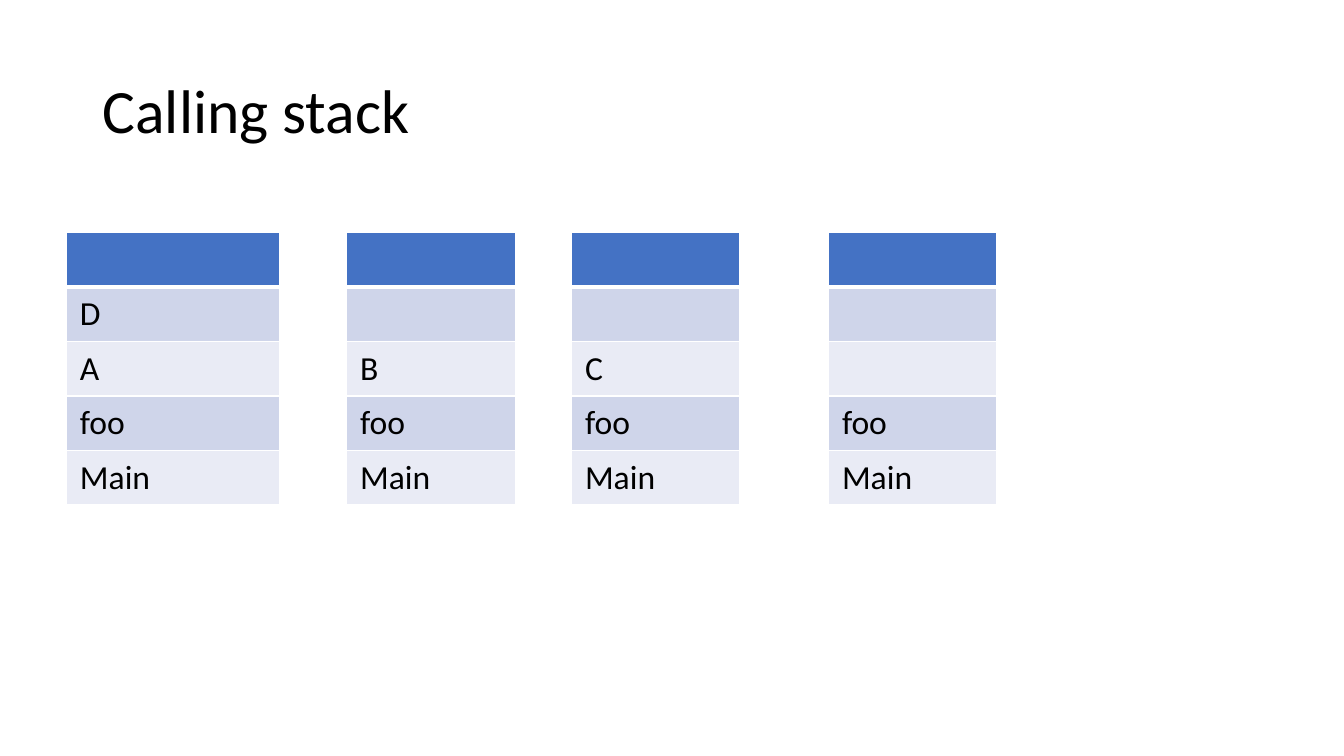
"""Build a slide that shows four states of a calling stack as one-column tables."""
import dataclasses

import lxml.etree
import pptx
import pptx.dml.color
import pptx.enum.text
import pptx.oxml.ns
import pptx.util

WHITE = pptx.dml.color.RGBColor(0xFF, 0xFF, 0xFF)
BLACK = pptx.dml.color.RGBColor(0x00, 0x00, 0x00)
HEADER_BLUE = pptx.dml.color.RGBColor(0x44, 0x72, 0xC4)
BAND_COLORS = (
    pptx.dml.color.RGBColor(0xE9, 0xEB, 0xF5),
    pptx.dml.color.RGBColor(0xCF, 0xD5, 0xEA),
)

SLIDE_WIDTH = pptx.util.Inches(13.33)
SLIDE_HEIGHT = pptx.util.Inches(7.5)
GRID_COLUMN = SLIDE_WIDTH / 100
GRID_ROW = SLIDE_HEIGHT / 100

FRAME_COUNT = 4
STACK_TOP = 30.8
FRAME_HEIGHT = 7.2
CELL_MARGIN_X = pptx.util.Pt(9.6)
CELL_MARGIN_Y = pptx.util.Pt(4.8)


@dataclasses.dataclass(frozen=True)
class Stack:
    left: float
    width: float
    frames: tuple[str, ...]


STACKS = (
    Stack(4.95, 15.82, ("D", "A", "foo", "Main")),
    Stack(25.8, 12.53, ("B", "foo", "Main")),
    Stack(42.53, 12.53, ("C", "foo", "Main")),
    Stack(61.65, 12.53, ("foo", "Main")),
)


def across(columns: float) -> int:
    return round(columns * GRID_COLUMN)


def down(rows: float) -> int:
    return round(rows * GRID_ROW)


def write_text(text_frame, text: str, *, size: float, line_spacing: float = 1.0) -> None:
    paragraph = text_frame.paragraphs[0]
    paragraph.line_spacing = line_spacing
    run = paragraph.add_run()
    run.text = text
    run.font.name = "Calibri"
    run.font.size = pptx.util.Pt(size)
    run.font.bold = False
    run.font.color.rgb = BLACK


def add_borders(cell, bottom_width: float) -> None:
    properties = cell._tc.get_or_add_tcPr()
    widths = {"a:lnL": 1, "a:lnR": 1, "a:lnT": 1, "a:lnB": bottom_width}
    for tag, width in widths.items():
        line = lxml.etree.SubElement(
            properties, pptx.oxml.ns.qn(tag), w=str(pptx.util.Pt(width))
        )
        fill = lxml.etree.SubElement(line, pptx.oxml.ns.qn("a:solidFill"))
        lxml.etree.SubElement(fill, pptx.oxml.ns.qn("a:srgbClr"), val=str(WHITE))


def add_title(slide, text: str) -> None:
    shape = slide.shapes.add_textbox(across(6.9), down(5.33), across(86.25), down(19.33))
    shape.text_frame.word_wrap = True
    shape.text_frame.vertical_anchor = pptx.enum.text.MSO_ANCHOR.MIDDLE
    write_text(shape.text_frame, text, size=44, line_spacing=0.9)


def add_stack(slide, stack: Stack) -> None:
    row_count = FRAME_COUNT + 1
    table = slide.shapes.add_table(
        row_count,
        1,
        across(stack.left),
        down(STACK_TOP),
        across(stack.width),
        down(FRAME_HEIGHT * row_count),
    ).table
    first_frame = row_count - len(stack.frames)
    for index, row in enumerate(table.rows):
        row.height = down(FRAME_HEIGHT)
        cell = row.cells[0]
        cell.margin_left = cell.margin_right = CELL_MARGIN_X
        cell.margin_top = cell.margin_bottom = CELL_MARGIN_Y
        add_borders(cell, bottom_width=1 if index else 3)
        cell.fill.solid()
        cell.fill.fore_color.rgb = BAND_COLORS[index % 2] if index else HEADER_BLUE
        if index >= first_frame:
            write_text(cell.text_frame, stack.frames[index - first_frame], size=24)


def main() -> None:
    presentation = pptx.Presentation()
    presentation.slide_width = SLIDE_WIDTH
    presentation.slide_height = SLIDE_HEIGHT
    slide = presentation.slides.add_slide(presentation.slide_layouts[6])
    add_title(slide, "Calling stack")
    for stack in STACKS:
        add_stack(slide, stack)
    presentation.save("out.pptx")


if __name__ == "__main__":
    main()
